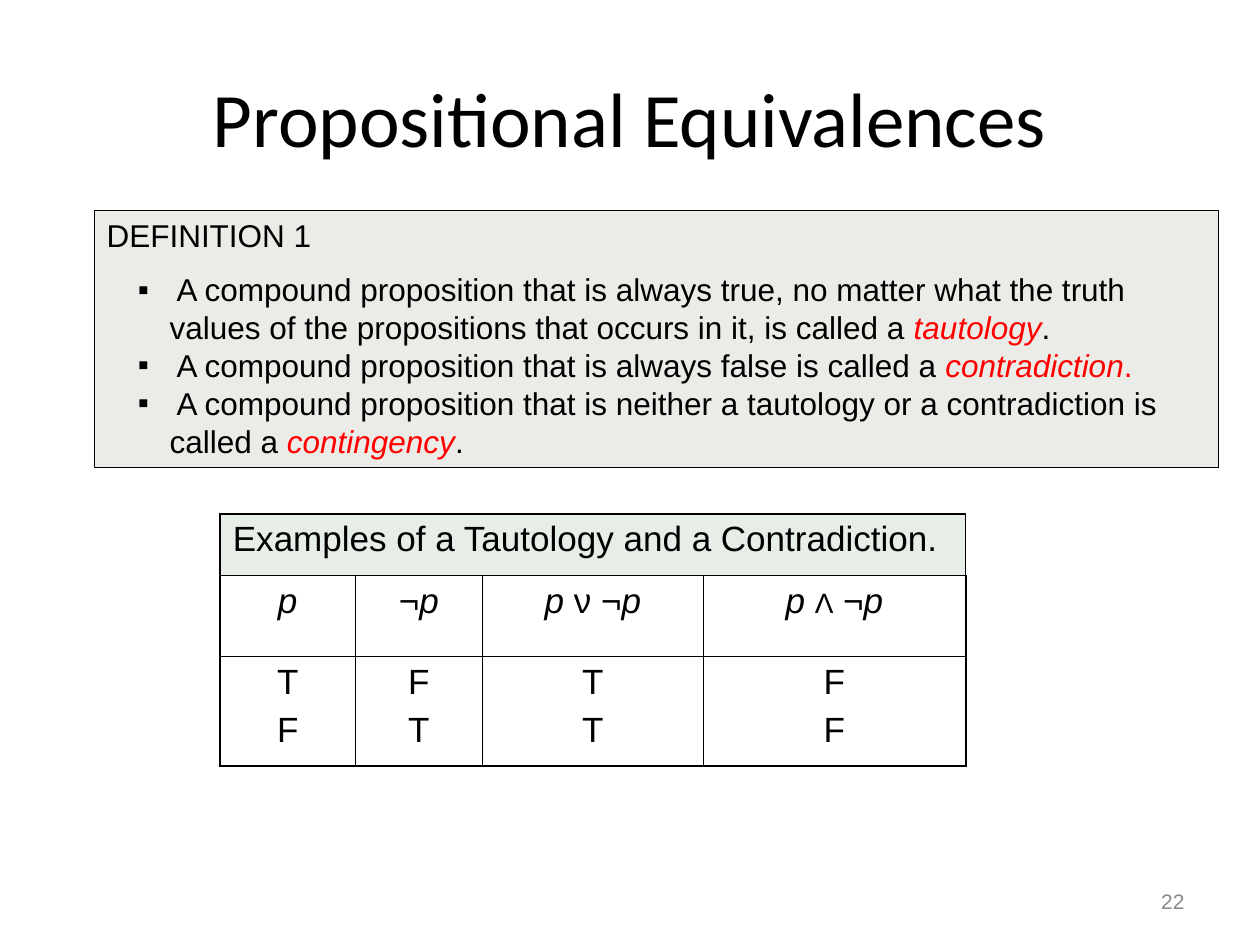
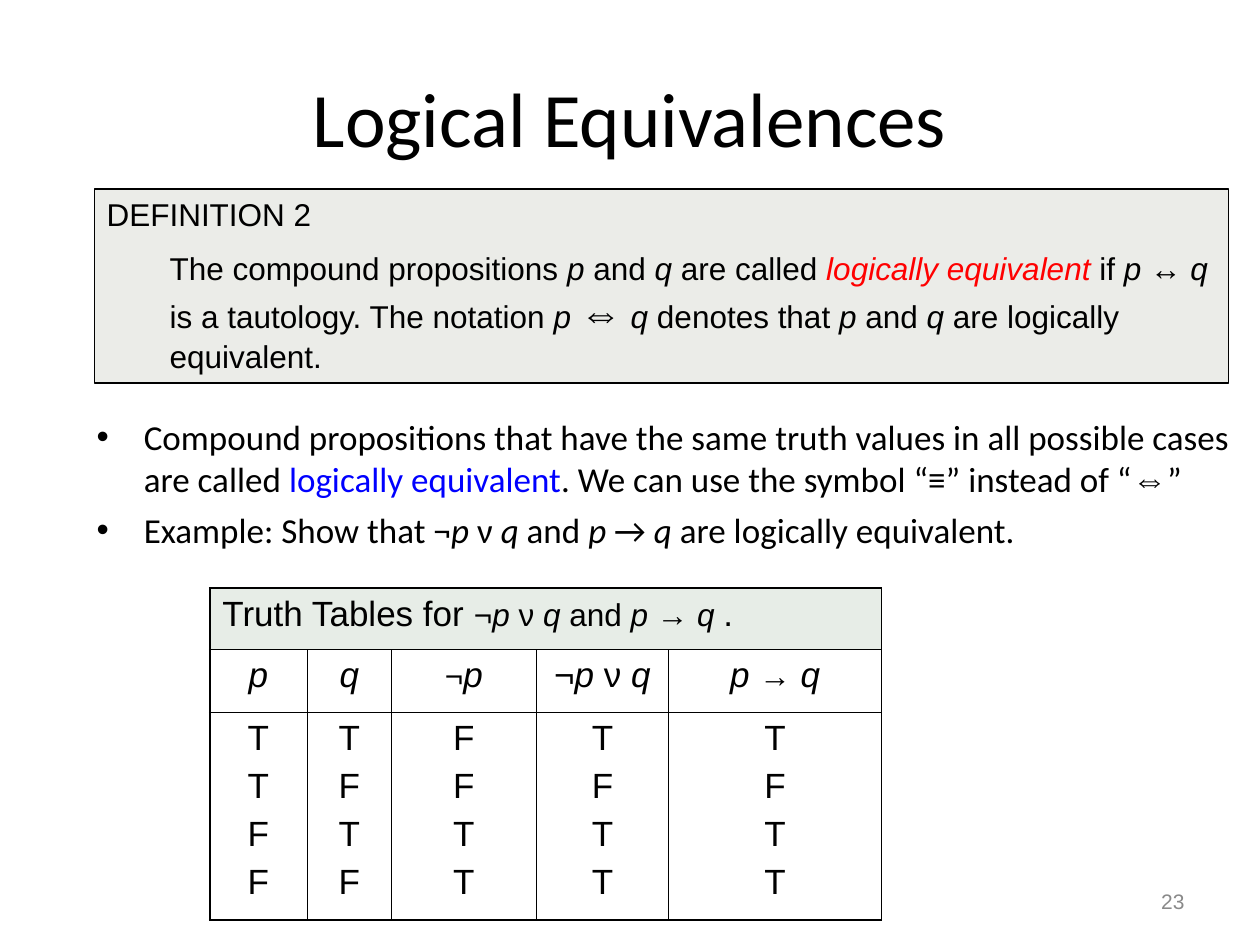
"""Build two slides on propositional equivalences with truth tables."""
from lxml import etree
from pptx import Presentation
from pptx import util as u
from pptx.dml.color import RGBColor
from pptx.enum import shapes, text
from pptx.oxml.ns import qn

COLORS = {"ink": "000000", "term": "FF0000", "link": "0000FF", "number": "898989",
          "definition": "EBECE8", "caption": "E7EDE7"}
ITALIC = {"italic": True}
TERM = {"italic": True, "color": "term"}
SMALL = {"size": 18}
P, Q = ("p", ITALIC), ("q", ITALIC)
P_, Q_ = ("p ", ITALIC), ("q ", ITALIC)
THIN, THICK = 0.45, 1.08


def small(run):
    """Return the run at the smaller table size."""
    words, style = run
    return words, {**style, **SMALL}


SLIDES = [
    {
        "title": "Propositional Equivalences",
        "number": "22",
        "definition": {
            "at": (1.9, 4.24, 22.66, 5.18),
            "heading": "DEFINITION 1",
            "bullet": "▪",
            "items": [
                [" A compound proposition that is always true, no matter what the truth values "
                 "of the propositions that occurs in it, is called a ", ("tautology", TERM), "."],
                [" A compound proposition that is always false is called a ",
                 ("contradiction", TERM), (".", {"color": "term"})],
                [" A compound proposition that is neither a tautology or a contradiction is "
                 "called a ", ("contingency", TERM), "."],
            ],
        },
        "points": [],
        "truth": {
            "at": (4.44, 10.36),
            "widths": (2.72, 2.57, 4.44, 5.3),
            "heights": (1.24, 1.63, 2.21),
            "caption": ["Examples of a Tautology and a Contradiction."],
            "columns": [
                ([P], "TF"),
                (["¬", P], "FT"),
                ([P_, "ν ¬", P], "TT"),
                ([P_, ("Λ", {"size": 16}), " ¬", P], "FF"),
            ],
        },
    },
    {
        "title": "Logical Equivalences",
        "number": "23",
        "definition": {
            "at": (1.9, 3.81, 22.86, 3.91),
            "heading": "DEFINITION 2",
            "bullet": None,
            "items": [
                ["The compound propositions ", P, " and ", Q, " are called ",
                 ("logically equivalent ", TERM), "if ", P_, "↔ ", Q,
                 " is a tautology. The notation ", P_, ("⇔", {"size": 24}), " ", Q,
                 " denotes that ", P, " and ", Q, " are logically equivalent."],
            ],
        },
        "points": [
            ["Compound propositions that have the same truth values in all possible cases "
             "are called ", ("logically equivalent", {"color": "link"}),
             ". We can use the symbol “≡” instead of “", ("⇔", {"font": "Arial"}), "”"],
            ["Example: Show that ¬", P_, "ν ", Q, " and ", P, " → ", Q,
             " are logically equivalent."],
        ],
        "truth": {
            "at": (4.23, 11.86),
            "widths": (1.96, 1.7, 2.92, 2.67, 4.29),
            "heights": (1.24, 1.27, 4.17),
            "caption": ["Truth Tables for ", ("¬", SMALL), small(P_), ("ν ", SMALL), small(Q),
                        (" and ", SMALL), small(P), (" → ", SMALL), small(Q_), "."],
            "columns": [
                ([P], "TTFF"),
                ([Q], "TFTF"),
                ([("¬", SMALL), P], "FFTT"),
                (["¬", P_, "ν ", Q], "TFTT"),
                ([P_, ("→", SMALL), " ", Q], "TFTT"),
            ],
        },
    },
]


def rgb(name):
    return RGBColor.from_string(COLORS[name])


def cm(values):
    return [u.Cm(value) for value in values]


def add_bullet(paragraph, mark, left, hang):
    properties = paragraph._p.get_or_add_pPr()
    properties.set("marL", str(u.Cm(left)))
    properties.set("indent", str(-u.Cm(hang)))
    if mark:
        color = etree.SubElement(properties, qn("a:buClr"))
        etree.SubElement(color, qn("a:srgbClr"), val=COLORS["ink"])
        etree.SubElement(properties, qn("a:buFont"), typeface="Arial")
        etree.SubElement(properties, qn("a:buChar"), char=mark)


def write(frame, lines, size, font="Arial", color="ink", align=text.PP_ALIGN.LEFT, before=0):
    frame.word_wrap = True
    for index, line in enumerate(lines):
        paragraph = frame.add_paragraph() if index else frame.paragraphs[0]
        paragraph.alignment = align
        if index and before:
            paragraph.space_before = u.Pt(before)
        for part in line:
            words, style = (part, {}) if isinstance(part, str) else part
            run = paragraph.add_run()
            run.text = words
            run.font.name = style.get("font", font)
            run.font.size = u.Pt(style.get("size", size))
            run.font.italic = style.get("italic", False)
            run.font.color.rgb = rgb(style.get("color", color))
    return frame.paragraphs


def add_text(slide, at, lines, size, anchor=text.MSO_ANCHOR.MIDDLE, **style):
    frame = slide.shapes.add_textbox(*cm(at)).text_frame
    frame.vertical_anchor = anchor
    return write(frame, lines, size, **style)


def add_definition(slide, definition):
    box = slide.shapes.add_shape(shapes.MSO_SHAPE.RECTANGLE, *cm(definition["at"]))
    box.shadow.inherit = False
    box.fill.solid()
    box.fill.fore_color.rgb = rgb("definition")
    box.line.color.rgb = rgb("ink")
    box.line.width = u.Pt(0.75)
    box.text_frame.vertical_anchor = text.MSO_ANCHOR.TOP
    heading, *items = write(box.text_frame, [[definition["heading"]], *definition["items"]], 18)
    heading.space_after = u.Pt(9.2)
    for item in items:
        add_bullet(item, definition["bullet"], 1.27, 0.64 if definition["bullet"] else 0)


def add_borders(cell, widths):
    properties = cell._tc.get_or_add_tcPr()
    for side, width in zip("LRTB", widths):
        line = etree.SubElement(properties, qn(f"a:ln{side}"), w=str(u.Pt(width)))
        fill = etree.SubElement(line, qn("a:solidFill"))
        etree.SubElement(fill, qn("a:srgbClr"), val=COLORS["ink"])


def add_truth_table(slide, truth):
    widths, heights = cm(truth["widths"]), cm(truth["heights"])
    last_row, last_column = len(heights) - 1, len(widths) - 1
    table = slide.shapes.add_table(len(heights), len(widths), *cm(truth["at"]),
                                   sum(widths), sum(heights)).table
    table.first_row = table.horz_banding = False
    for column, width in zip(table.columns, widths):
        column.width = width
    for row, height in zip(table.rows, heights):
        row.height = height
    for r in range(last_row + 1):
        for c in range(last_column + 1):
            cell = table.cell(r, c)
            outer = (c == 0, c == last_column, r == 0, r == last_row)
            add_borders(cell, [THICK if edge else THIN for edge in outer])
            if r == 0:
                cell.fill.solid()
                cell.fill.fore_color.rgb = rgb("caption")
            else:
                cell.fill.background()
    caption = table.cell(0, 0)
    caption.merge(table.cell(0, last_column))
    write(caption.text_frame, [truth["caption"]], 20)
    for c, (formula, values) in enumerate(truth["columns"]):
        for r, lines in enumerate(([formula], values), 1):
            write(table.cell(r, c).text_frame, lines, 20,
                  align=text.PP_ALIGN.CENTER, before=5)


def main():
    deck = Presentation()
    deck.slide_width, deck.slide_height = cm((25.4, 19.05))
    for content in SLIDES:
        slide = deck.slides.add_slide(deck.slide_layouts[6])
        add_text(slide, (1.27, 0.76, 22.86, 3.18), [[content["title"]]], 44,
                 font="Calibri", align=text.PP_ALIGN.CENTER)
        if content["points"]:
            for point in add_text(slide, (1.7, 8.25, 23.7, 3.6), content["points"], 20,
                                  anchor=text.MSO_ANCHOR.TOP, font="Calibri", before=5):
                add_bullet(point, "•", 0.95, 0.95)
        add_truth_table(slide, content["truth"])
        add_text(slide, (18.21, 17.65, 5.92, 1.02), [[content["number"]]], 12,
                 color="number", align=text.PP_ALIGN.RIGHT)
        add_definition(slide, content["definition"])
    deck.save("out.pptx")


if __name__ == "__main__":
    main()
